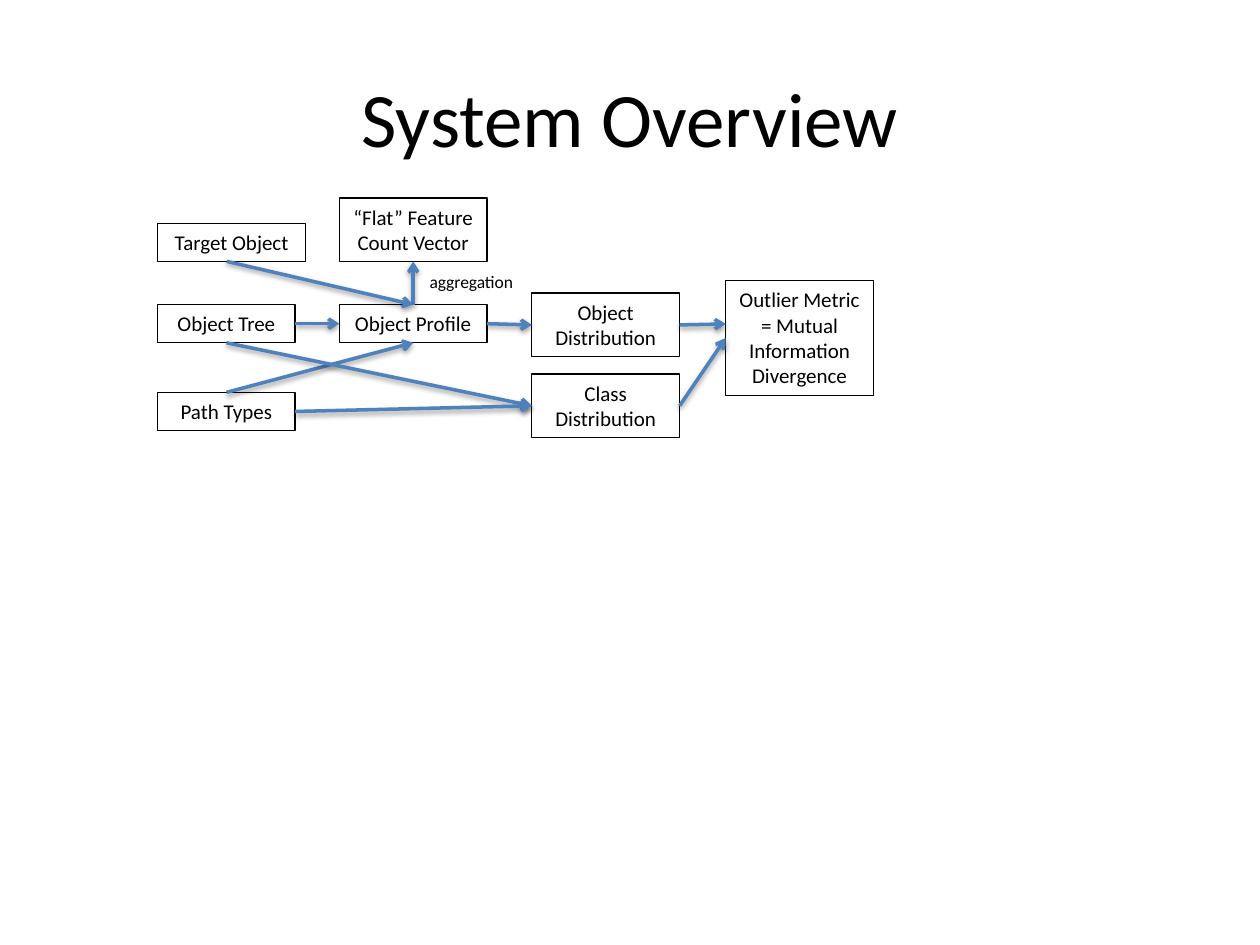
from lxml import etree
from pptx import Presentation, util as u
from pptx.dml.color import RGBColor
from pptx.enum import shapes, text
from pptx.oxml import ns

TOP, LEFT, BOTTOM, RIGHT = range(4)  # connection sites of a rectangle


def colour(value):
    return RGBColor.from_string(value)


def write(frame, content, size=12, align=text.PP_ALIGN.CENTER, font="Calibri", ink="000000"):
    frame.word_wrap = True
    para = frame.paragraphs[0]
    para.alignment = align
    span = para.add_run()
    span.text = content
    span.font.size = u.Pt(size)
    span.font.name = font
    span.font.color.rgb = colour(ink)


def child(parent, tag, **attributes):
    element = etree.SubElement(parent, ns.qn(tag))
    for name, value in attributes.items():
        element.set(name, str(value))
    return element


class Diagram:
    ink = "000000"
    arrow_blue = "4F81BD"

    def __init__(self, page):
        self.page = page

    def title(self, content, *place):
        box = self.page.shapes.title
        box.left, box.top, box.width, box.height = map(u.Cm, place)
        box.text_frame.vertical_anchor = text.MSO_ANCHOR.MIDDLE
        write(box.text_frame, content, size=44)

    def box(self, content, left, top, width=2.98, height=0.77):
        box = self.page.shapes.add_shape(
            shapes.MSO_SHAPE.RECTANGLE, *map(u.Cm, (left, top, width, height)))
        box.shadow.inherit = False
        box.fill.background()
        box.line.color.rgb = colour(self.ink)
        box.line.width = u.Pt(0.75)
        box.text_frame.vertical_anchor = text.MSO_ANCHOR.TOP
        box.text_frame.auto_size = text.MSO_AUTO_SIZE.SHAPE_TO_FIT_TEXT
        write(box.text_frame, content)
        return box

    def label(self, content, *place):
        box = self.page.shapes.add_textbox(*map(u.Cm, place))
        box.text_frame.auto_size = text.MSO_AUTO_SIZE.SHAPE_TO_FIT_TEXT
        write(box.text_frame, content, size=10, align=text.PP_ALIGN.LEFT)

    def arrow(self, start, end):
        """Each end is a (box, site) pair or an (x, y) point in cm."""
        points = [(0, 0) if hasattr(one[0], "shape_id") else tuple(map(u.Cm, one))
                  for one in (start, end)]
        line = self.page.shapes.add_connector(
            shapes.MSO_CONNECTOR.STRAIGHT, *points[0], *points[1])
        for one, connect in ((start, line.begin_connect), (end, line.end_connect)):
            if hasattr(one[0], "shape_id"):
                connect(*one)
        line.line.color.rgb = colour(self.arrow_blue)
        line.line.width = u.Pt(2)
        child(line.line._get_or_add_ln(), "a:tailEnd", type="arrow")
        effects = child(line._element.spPr, "a:effectLst")
        shadow = child(effects, "a:outerShdw", blurRad=u.Pt(3.1), dist=u.Pt(1.6),
                       dir=90 * 60000, rotWithShape=0)
        child(child(shadow, "a:srgbClr", val=self.ink), "a:alpha", val=38000)


deck = Presentation()
deck.slide_width, deck.slide_height = u.Cm(25.4), u.Cm(19.05)
diagram = Diagram(deck.slides.add_slide(deck.slide_layouts[5]))
diagram.title("System Overview", 1.27, 0.76, 22.86, 3.18)

# Boxes, in four columns
inputs, profiles, distributions, result = 3.18, 6.84, 10.72, 14.63
two_lines, four_lines = 1.28, 2.31
tree = diagram.box("Object Tree", inputs, 6.14, width=2.77)
diagram.box("Target Object", inputs, 4.5)
profile = diagram.box("Object Profile", profiles, 6.14)
paths = diagram.box("Path Types", inputs, 7.91, width=2.77)
object_dist = diagram.box("Object Distribution", distributions, 5.91, height=two_lines)
class_dist = diagram.box("Class Distribution", distributions, 7.54, height=two_lines)
outlier = diagram.box("Outlier Metric = Mutual Information Divergence",
                      result, 5.66, height=four_lines)
vector = diagram.box("“Flat” Feature Count Vector", profiles, 3.99, height=two_lines)

# Arrows
for start, end in (
    ((profile, TOP), (vector, BOTTOM)),
    ((tree, RIGHT), (profile, LEFT)),
    ((4.57, 5.27), (profile, TOP)),
    ((paths, TOP), (profile, BOTTOM)),
    ((profile, RIGHT), (object_dist, LEFT)),
    ((object_dist, RIGHT), (result, 6.53)),
    ((class_dist, RIGHT), (outlier, LEFT)),
    ((tree, BOTTOM), (class_dist, LEFT)),
    ((paths, RIGHT), (class_dist, LEFT)),
):
    diagram.arrow(start, end)

diagram.label("aggregation", 8.41, 5.33, 2.49, 0.68)

deck.save("out.pptx")
